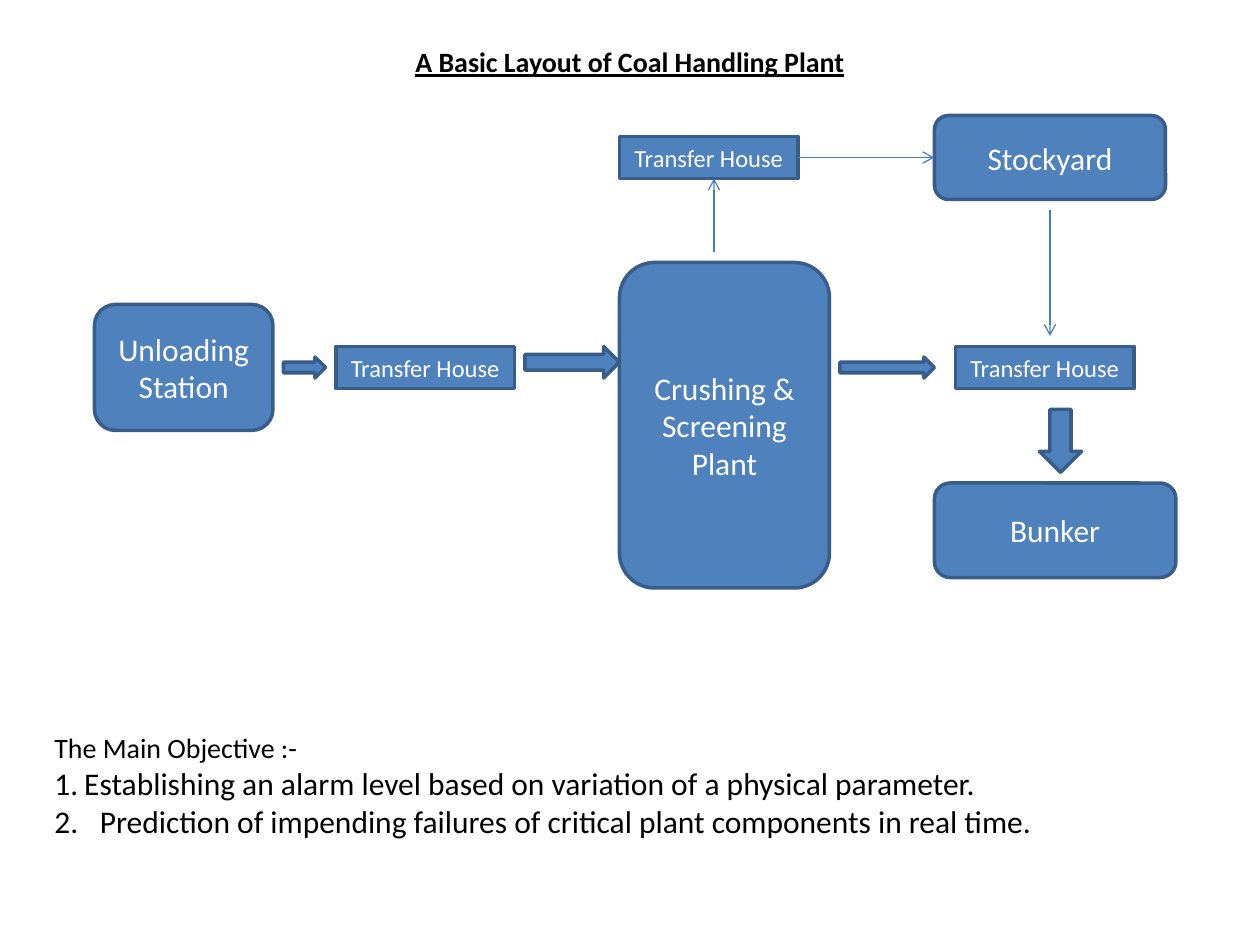
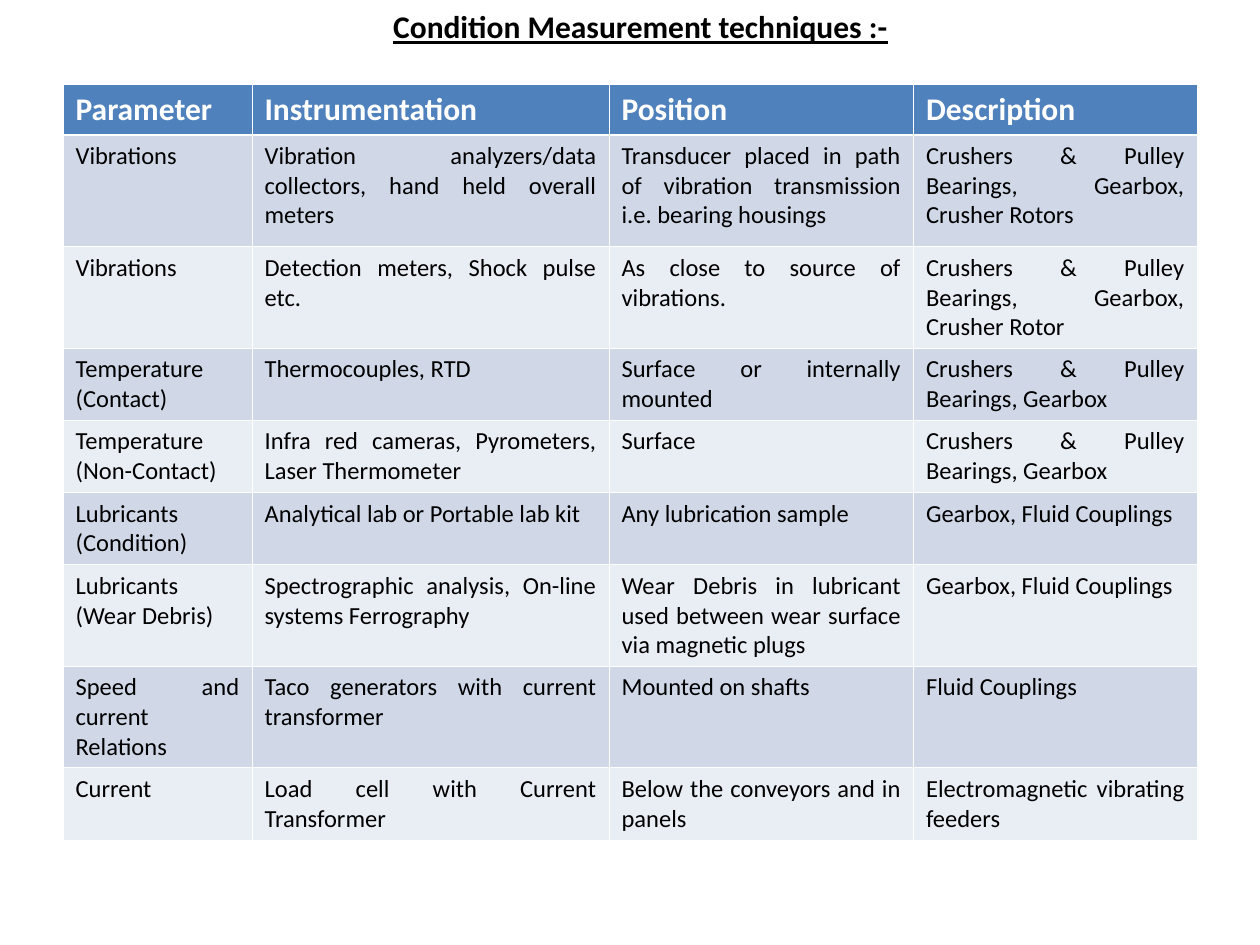
from dataclasses import dataclass

from lxml.etree import SubElement as Sub
from pptx import Presentation
from pptx.dml.color import RGBColor as Rgb
from pptx.enum.shapes import MSO_CONNECTOR as Link, MSO_SHAPE as Kind
from pptx.enum.text import MSO_ANCHOR as Anchor, PP_ALIGN as Align
from pptx.oxml.ns import qn
from pptx.util import Pt


@dataclass(frozen=True)
class Theme:
    font: str = "Calibri"
    black: str = "000000"
    white: str = "FFFFFF"
    blue: str = "4F81BD"
    edge: str = "385D8A"
    wire: str = "4A7EBB"
    dark: str = "D0D8E8"
    light: str = "E9EDF4"
    large: int = 18
    mid: int = 16
    small: int = 14


theme = Theme()


def style(para, size, color, bold=False, align=Align.LEFT):
    para.alignment = align
    font = para.font
    font.name, font.size, font.bold = theme.font, Pt(size), bold
    font.color.rgb = Rgb.from_string(color)


def head(slide, text, left, top, high, size):
    """Add the underlined slide title."""
    box = slide.shapes.add_textbox(Pt(left), Pt(top), Pt(648), Pt(high))
    frame = box.text_frame
    frame.word_wrap, frame.vertical_anchor = True, Anchor.MIDDLE
    frame.margin_top = frame.margin_bottom = 0
    frame.text = text
    style(frame.paragraphs[0], size, theme.black, True, Align.CENTER)
    frame.paragraphs[0].font.underline = True


deck = Presentation()
deck.slide_width, deck.slide_height = Pt(720), Pt(540)
blank = deck.slide_layouts[6]

# Plant layout
plant = deck.slides.add_slide(blank)
head(plant, "A Basic Layout of Coal Handling Plant", 36, 21.6, 26.6, theme.mid)

ROUND, RECT = Kind.ROUNDED_RECTANGLE, Kind.RECTANGLE
RIGHT, DOWN = Kind.RIGHT_ARROW, Kind.DOWN_ARROW
house = "Transfer House"
parts = [
    (ROUND, 54, 174, 102, 72, "Unloading Station"),
    (RECT, 192, 198, 102, 24, house),
    (ROUND, 354, 150, 120, 186, "Crushing & Screening Plant"),
    (RIGHT, 300, 198, 54, 18, ""),
    (RIGHT, 162, 204, 24, 12, ""),
    (RECT, 354, 78, 102, 24, house),
    (ROUND, 534, 66, 132, 48, "Stockyard"),
    (ROUND, 534, 276, 138, 54, "Bunker"),
    (RECT, 546, 198, 102, 24, house),
    (RIGHT, 480, 204, 54, 12, ""),
    (DOWN, 594, 234, 24, 36, ""),
]
for kind, left, top, wide, high, text in parts:
    part = plant.shapes.add_shape(kind, Pt(left), Pt(top), Pt(wide), Pt(high))
    part.shadow.inherit = False
    part.fill.solid()
    part.fill.fore_color.rgb = Rgb.from_string(theme.blue)
    part.line.color.rgb = Rgb.from_string(theme.edge)
    part.line.width = Pt(2)
    if text:
        frame = part.text_frame
        frame.word_wrap, frame.vertical_anchor = True, Anchor.MIDDLE
        frame.text = text
        size = theme.small if kind == RECT else theme.large
        style(frame.paragraphs[0], size, theme.white, align=Align.CENTER)

for ends in [(408, 144, 408, 102), (456, 90, 534, 90), (600, 120, 600, 192)]:
    wire = plant.shapes.add_connector(Link.STRAIGHT, *map(Pt, ends))
    wire.line.color.rgb = Rgb.from_string(theme.wire)
    wire.line.width = Pt(0.75)
    props = wire.element.spPr
    Sub(props.find(qn("a:ln")), qn("a:tailEnd"), type="arrow")
    Sub(props, qn("a:effectLst"))

goals = plant.shapes.add_textbox(Pt(24), Pt(414), Pt(672), Pt(91.5)).text_frame
goals.word_wrap = True
goals.text = "The Main Objective :-"
style(goals.paragraphs[0], theme.mid, theme.black)
items = [
    ("Establishing an alarm level based on variation of a physical parameter.", 17),
    ("Prediction of impending failures of critical plant components in real time.", 26),
]
for num, (text, indent) in enumerate(items, 1):
    para = goals.add_paragraph()
    para.text = text
    style(para, theme.large, theme.black)
    props = para._p.get_or_add_pPr()
    props.set("marL", str(Pt(indent)))
    props.set("indent", str(-Pt(indent)))
    mark = Sub(props, qn("a:buAutoNum"), type="arabicPeriod", startAt=str(num))
    props.insert(0, mark)

# Measurement table
tests = deck.slides.add_slide(blank)
head(tests, "Condition Measurement techniques :-", 42, 0, 30, theme.large)

rows = [
    ("Parameter", "Instrumentation", "Position", "Description"),
    ("Vibrations",
     "Vibration analyzers/data collectors, hand held overall meters",
     "Transducer placed in path of vibration transmission i.e. bearing housings",
     "Crushers & Pulley Bearings, Gearbox, Crusher Rotors"),
    ("Vibrations", "Detection meters, Shock pulse etc.",
     "As close to source of vibrations.",
     "Crushers & Pulley Bearings, Gearbox, Crusher Rotor"),
    ("Temperature (Contact)", "Thermocouples, RTD",
     "Surface or internally mounted", "Crushers & Pulley Bearings, Gearbox"),
    ("Temperature (Non-Contact)",
     "Infra red cameras, Pyrometers, Laser Thermometer",
     "Surface", "Crushers & Pulley Bearings, Gearbox"),
    ("Lubricants (Condition)", "Analytical lab or Portable lab kit",
     "Any lubrication sample", "Gearbox, Fluid Couplings"),
    ("Lubricants (Wear Debris)",
     "Spectrographic analysis, On-line systems Ferrography",
     "Wear Debris in lubricant used between wear surface via magnetic plugs",
     "Gearbox, Fluid Couplings"),
    ("Speed and current Relations",
     "Taco generators with current transformer",
     "Mounted on shafts", "Fluid Couplings"),
    ("Current", "Load cell with Current Transformer",
     "Below the conveyors and in panels", "Electromagnetic vibrating feeders"),
]
wides = [108, 204, 174, 162]
highs = [29, 64, 58, 41.25, 41.25, 41.25, 58, 58, 41.25]
grid = tests.shapes.add_table(len(rows), len(wides), Pt(36), Pt(48),
                              Pt(sum(wides)), Pt(sum(highs))).table
grid.horz_banding = False
for col, wide in zip(grid.columns, wides):
    col.width = Pt(wide)
for r, (row, high) in enumerate(zip(rows, highs)):
    grid.rows[r].height = Pt(high)
    fill = theme.blue if r == 0 else theme.dark if r % 2 else theme.light
    for c, text in enumerate(row):
        cell = grid.cell(r, c)
        cell.text = text
        para = cell.text_frame.paragraphs[0]
        if r == 0:
            style(para, theme.large, theme.white, True)
        else:
            left = text == "Lubricants (Condition)"
            style(para, theme.small, theme.black,
                  align=Align.LEFT if left else Align.JUSTIFY)
        props = cell._tc.get_or_add_tcPr()
        for side in "LRTB":
            thick = (r, side) in [(0, "B"), (1, "T")]
            rule = Sub(props, qn(f"a:ln{side}"), w=str(Pt(1.47 if thick else 0.45)))
            Sub(Sub(rule, qn("a:solidFill")), qn("a:srgbClr"), val=theme.white)
        cell.fill.solid()
        cell.fill.fore_color.rgb = Rgb.from_string(fill)

deck.save("out.pptx")
